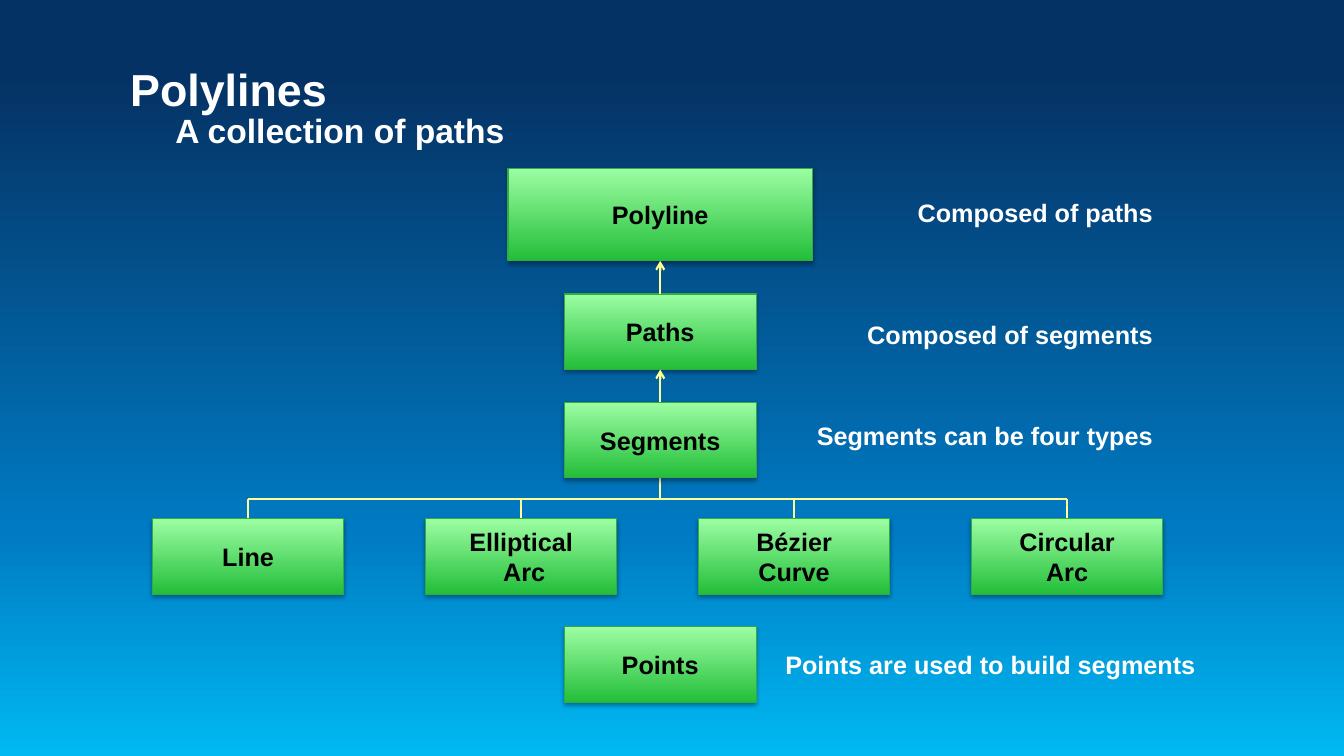
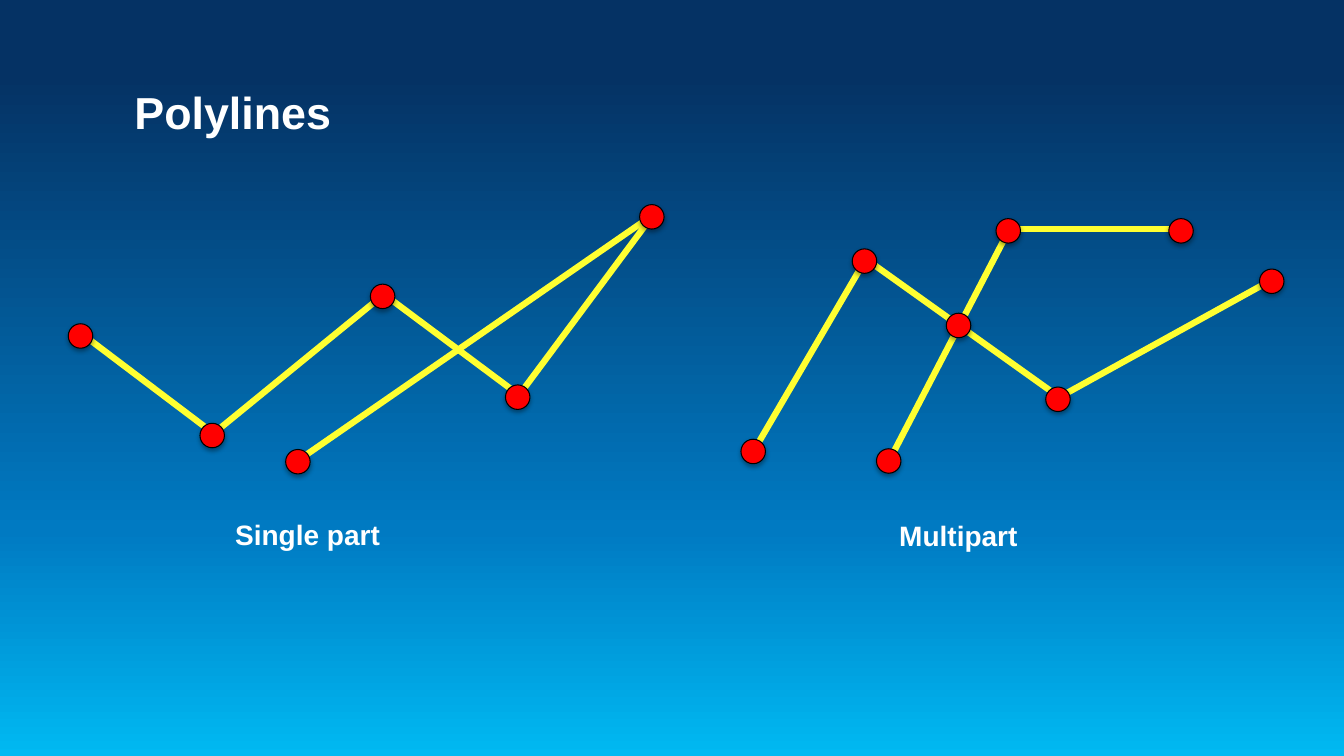
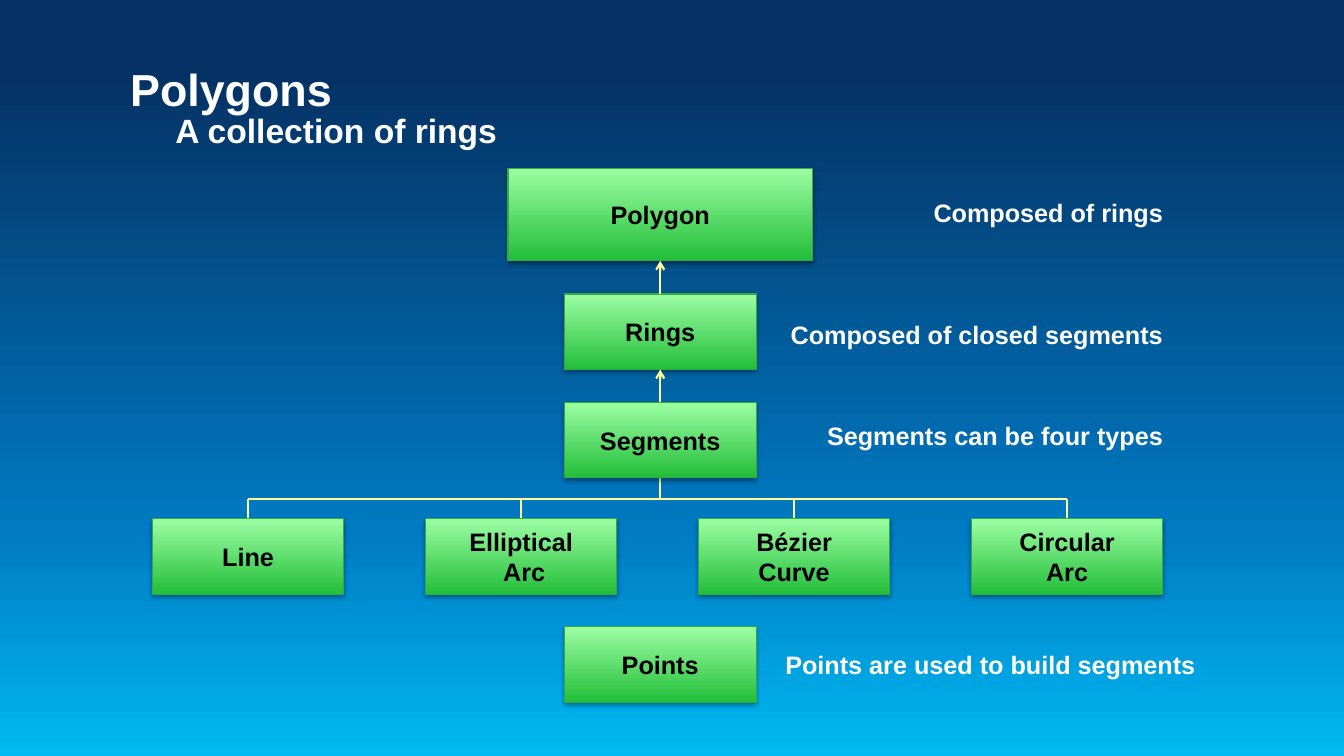
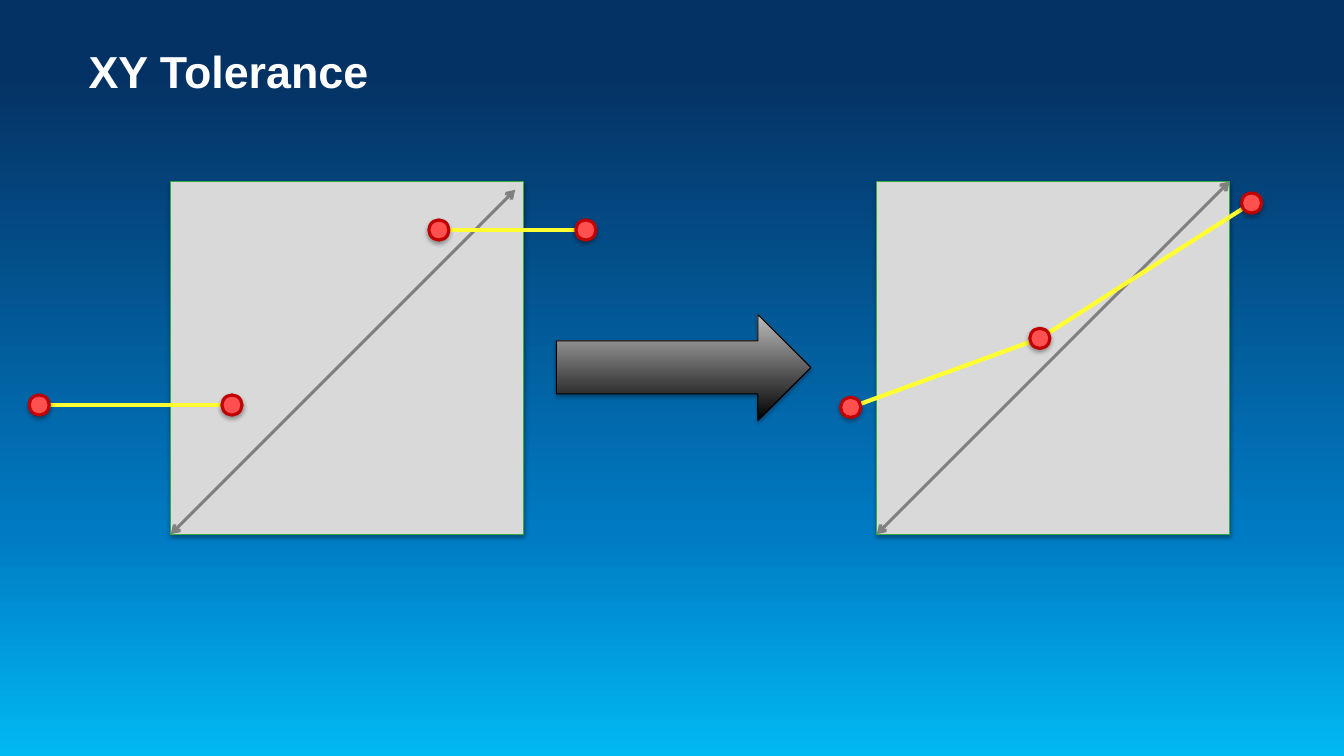
from dataclasses import dataclass
from itertools import pairwise
from typing import NamedTuple

from lxml.etree import SubElement
from pptx import Presentation
from pptx.dml.color import RGBColor
from pptx.dml.fill import FillFormat
from pptx.enum.shapes import MSO_CONNECTOR as Connector, MSO_SHAPE as Preset
from pptx.enum.text import MSO_ANCHOR as Anchor, PP_ALIGN as Align
from pptx.oxml.ns import qn
from pptx.oxml.xmlchemy import BaseOxmlElement as Element
from pptx.shapes.autoshape import Shape
from pptx.slide import Slide
from pptx.text.text import TextFrame
from pptx.util import Pt

# Shared look
FONT = "Arial"
WHITE, BLACK, GREY = "FFFFFF", "000000", "808080"
EDGE_GREEN, PALE_YELLOW, YELLOW = "31AB42", "FFFF96", "FFFF31"
SQUARE_FILL = "D9D9D9"


class Stop(NamedTuple):
    percent: int
    colour: str


class Point(NamedTuple):
    x: float
    y: float


class Area(NamedTuple):
    left: float
    top: float
    width: float
    height: float


@dataclass(frozen=True)
class DotStyle:
    size: float
    fill: str
    edge: str
    edge_width: float


@dataclass(frozen=True)
class Note:
    text: str
    right: float
    top: float


@dataclass(frozen=True)
class Hierarchy:
    title: str
    subtitle: str
    levels: tuple[str, str, str]
    notes: tuple[Note, ...]


SKY = (Stop(0, "00B9F2"), Stop(30, "007AC2"), Stop(90, "053264"))
GREEN = (Stop(0, "23BE39"), Stop(100, "9CFDA3"))
STEEL = (Stop(0, "000000"), Stop(100, "BDBDBD"))
VERTEX = DotStyle(17.5, "FF0000", BLACK, 0.75)
ENDPOINT = DotStyle(14.4, "FF5050", "C00000", 2.25)

# Node chart grid
CENTRE = 471.6
NODE_WIDTH, NODE_HEIGHT = 137, 54
ROOT_WIDTH, ROOT_HEIGHT = 217.5, 66
LEVEL_TOPS = (120.3, 210, 287.3)
LEAF_LEFT, LEAF_STEP, LEAF_TOP = 108.7, 195, 370.6
BUS_TOP, POINTS_TOP = 356.2, 447.8
NOTE_LEFT = 544
LEAVES = (("Line",), ("Elliptical", " Arc"), ("Bézier", "Curve"), ("Circular", "Arc"))
POINTS_NOTE = Note("Points are used to build segments", 854, 463.7)

HIERARCHIES = {
    "lines": Hierarchy(
        "Polylines", "A collection of paths", ("Polyline", "Paths", "Segments"),
        (Note("Composed of paths", 823.5, 141), Note("Composed of segments", 823.5, 228.3),
         Note("Segments can be four types", 823.5, 300.3), POINTS_NOTE)),
    "polygons": Hierarchy(
        "Polygons", "A collection of rings", ("Polygon", "Rings", "Segments"),
        (Note("Composed of rings", 830.8, 141), Note("Composed of closed segments", 830.8, 228.3),
         Note("Segments can be four types", 830.8, 300.3), POINTS_NOTE)),
}

# Vertices of the example polylines
SINGLE_PART = (Point(58.5, 238.5), Point(152.6, 309.6), Point(274.3, 210.2),
               Point(370.8, 282.2), Point(466.6, 153.4), Point(213.8, 328.3))
FIRST_PART = (Point(539, 321), Point(618.5, 185), Point(756.7, 283.7), Point(909.4, 199.4))
SECOND_PART = (Point(635.8, 327.8), Point(721.2, 163.4), Point(844.6, 163.4))
CROSSING = Point(685.7, 231)


def colour(code: str) -> RGBColor:
    return RGBColor.from_string(code)


# Fills, lines and effects
def set_gradient(fill: FillFormat, owner: Element, stops: tuple[Stop, ...]) -> None:
    """Run the stops from bottom to top."""
    fill.gradient()
    fill.gradient_angle = 90
    stop_list = owner.find(f".//{qn('a:gsLst')}")
    for old in list(stop_list):
        stop_list.remove(old)
    for stop in stops:
        entry = SubElement(stop_list, qn("a:gs"), pos=str(stop.percent * 1000))
        SubElement(entry, qn("a:srgbClr"), val=stop.colour)


def add_shadow(shape: Shape) -> None:
    shape.shadow.inherit = False
    effects = shape.element.spPr.find(qn("a:effectLst"))
    outer = SubElement(effects, qn("a:outerShdw"), blurRad="40000", dist="23000",
                       dir="5400000", rotWithShape="0")
    tint = SubElement(outer, qn("a:srgbClr"), val=BLACK)
    SubElement(tint, qn("a:alpha"), val="35000")


def add_line(page: Slide, start: Point, end: Point, code: str, width: float,
             head: bool = False, tail: bool = False) -> None:
    line = page.shapes.add_connector(Connector.STRAIGHT, *map(Pt, (*start, *end)))
    line.line.color.rgb = colour(code)
    line.line.width = Pt(width)
    properties = line.element.spPr
    outline = properties.find(qn("a:ln"))
    for wanted, tag in ((head, "a:headEnd"), (tail, "a:tailEnd")):
        if wanted:
            SubElement(outline, qn(tag), type="arrow")
    SubElement(properties, qn("a:effectLst"))


def add_path(page: Slide, points: tuple[Point, ...], width: float) -> None:
    for start, end in pairwise(points):
        add_line(page, start, end, YELLOW, width)


def add_block(page: Slide, preset: Preset, area: Area, fill: str | tuple[Stop, ...],
              edge: str, edge_width: float = 0.75) -> Shape:
    shape = page.shapes.add_shape(preset, *map(Pt, area))
    if isinstance(fill, str):
        shape.fill.solid()
        shape.fill.fore_color.rgb = colour(fill)
    else:
        set_gradient(shape.fill, shape.element.spPr, fill)
    shape.line.color.rgb = colour(edge)
    shape.line.width = Pt(edge_width)
    add_shadow(shape)
    return shape


def add_dot(page: Slide, centre: Point, style: DotStyle) -> None:
    half = style.size / 2
    area = Area(centre.x - half, centre.y - half, style.size, style.size)
    add_block(page, Preset.OVAL, area, style.fill, style.edge, style.edge_width)


# Text
def write(frame: TextFrame, lines: tuple[str, ...], size: float, code: str,
          align: Align, spacing: float | None = None) -> None:
    for index, text in enumerate(lines):
        para = frame.add_paragraph() if index else frame.paragraphs[0]
        para.alignment = align
        if spacing:
            para.line_spacing = Pt(spacing)
        span = para.add_run()
        span.text = text
        span.font.name = FONT
        span.font.size = Pt(size)
        span.font.bold = True
        span.font.color.rgb = colour(code)


def add_text(page: Slide, area: Area, text: str, size: float,
             align: Align = Align.LEFT, spacing: float | None = None) -> None:
    box = page.shapes.add_textbox(*map(Pt, area))
    frame = box.text_frame
    frame.word_wrap = True
    frame.margin_left = frame.margin_right = frame.margin_top = frame.margin_bottom = 0
    write(frame, (text,), size, WHITE, align, spacing)


def add_title(page: Slide, text: str, left: float, top: float) -> None:
    add_text(page, Area(left, top, 768, 37), text, 32)


def add_node(page: Slide, area: Area, *lines: str) -> None:
    frame = add_block(page, Preset.RECTANGLE, area, GREEN, EDGE_GREEN).text_frame
    frame.word_wrap = False
    frame.vertical_anchor = Anchor.MIDDLE
    write(frame, lines, 18, BLACK, Align.CENTER)


# Slides
def draw_hierarchy(page: Slide, content: Hierarchy) -> None:
    add_title(page, content.title, 93, 43.8)
    add_text(page, Area(125.3, 89.3, 289.5, 52), content.subtitle, 24, spacing=18)
    for note in content.notes:
        add_text(page, Area(NOTE_LEFT, note.top, note.right - NOTE_LEFT, 21.6),
                 note.text, 18, Align.RIGHT)

    # Tree from the segments down to their types
    def tree_line(start: Point, end: Point, tail: bool = False) -> None:
        add_line(page, start, end, PALE_YELLOW, 1.5, tail=tail)

    leaf_lefts = [LEAF_LEFT + LEAF_STEP * column for column in range(len(LEAVES))]
    leaf_centres = [left + NODE_WIDTH / 2 for left in leaf_lefts]
    tree_line(Point(CENTRE, LEVEL_TOPS[-1] + NODE_HEIGHT), Point(CENTRE, BUS_TOP))
    tree_line(Point(leaf_centres[0], BUS_TOP), Point(leaf_centres[-1], BUS_TOP))
    for left, centre, lines in zip(leaf_lefts, leaf_centres, LEAVES):
        tree_line(Point(centre, LEAF_TOP), Point(centre, BUS_TOP))
        add_node(page, Area(left, LEAF_TOP, NODE_WIDTH, NODE_HEIGHT), *lines)

    # Main column, each level pointing to the one above
    sizes = ((ROOT_WIDTH, ROOT_HEIGHT), *[(NODE_WIDTH, NODE_HEIGHT)] * 3)
    tops = (*LEVEL_TOPS, POINTS_TOP)
    for text, top, (width, height) in zip((*content.levels, "Points"), tops, sizes):
        add_node(page, Area(CENTRE - width / 2, top, width, height), text)
    for (upper, lower), (_, height) in zip(pairwise(LEVEL_TOPS), sizes):
        tree_line(Point(CENTRE, lower), Point(CENTRE, upper + height), tail=True)


def draw_parts(page: Slide) -> None:
    add_title(page, "Polylines", 96, 60.3)
    for points in (SINGLE_PART, FIRST_PART, SECOND_PART):
        add_path(page, points, 4.5)
    for vertex in (*SINGLE_PART, *FIRST_PART, *SECOND_PART, CROSSING):
        add_dot(page, Point(vertex.x - 1, vertex.y + 1.5), VERTEX)
    for text, left, top in (("Single part", 168, 375.3), ("Multipart", 642.3, 376.3)):
        add_text(page, Area(left, top, 138, 32.4), text, 20, spacing=18)


def draw_tolerance(page: Slide) -> None:
    add_title(page, "XY Tolerance", 63.3, 31.3)

    # Tolerance squares with their diagonals
    top, side = 129.6, 252
    for left, inset in ((122, 6), (626.3, 0)):
        add_block(page, Preset.RECTANGLE, Area(left, top, side, side), SQUARE_FILL, EDGE_GREEN)
        add_line(page, Point(left, top + side), Point(left + side - inset, top + inset),
                 GREY, 2.25, head=True, tail=True)
    add_block(page, Preset.RIGHT_ARROW, Area(397.5, 224.6, 181.7, 75.8), STEEL, BLACK)

    # Separate lines before, one joined line after
    paths = (
        (Point(28, 289.3), Point(165.7, 289.3)),
        (Point(313.5, 164.3), Point(418.5, 164.3)),
        (Point(607.7, 291), Point(742.8, 241.7), Point(894, 145)),
    )
    for points in paths:
        add_path(page, points, 3)
        for point in points:
            add_dot(page, point, ENDPOINT)


def main() -> None:
    deck = Presentation()
    deck.slide_width, deck.slide_height = Pt(960), Pt(540)
    master = deck.slide_master
    set_gradient(master.background.fill, master.element, SKY)
    blank = deck.slide_layouts[6]

    draw_hierarchy(deck.slides.add_slide(blank), HIERARCHIES["lines"])
    draw_parts(deck.slides.add_slide(blank))
    draw_hierarchy(deck.slides.add_slide(blank), HIERARCHIES["polygons"])
    draw_tolerance(deck.slides.add_slide(blank))
    deck.save("out.pptx")


if __name__ == "__main__":
    main()
